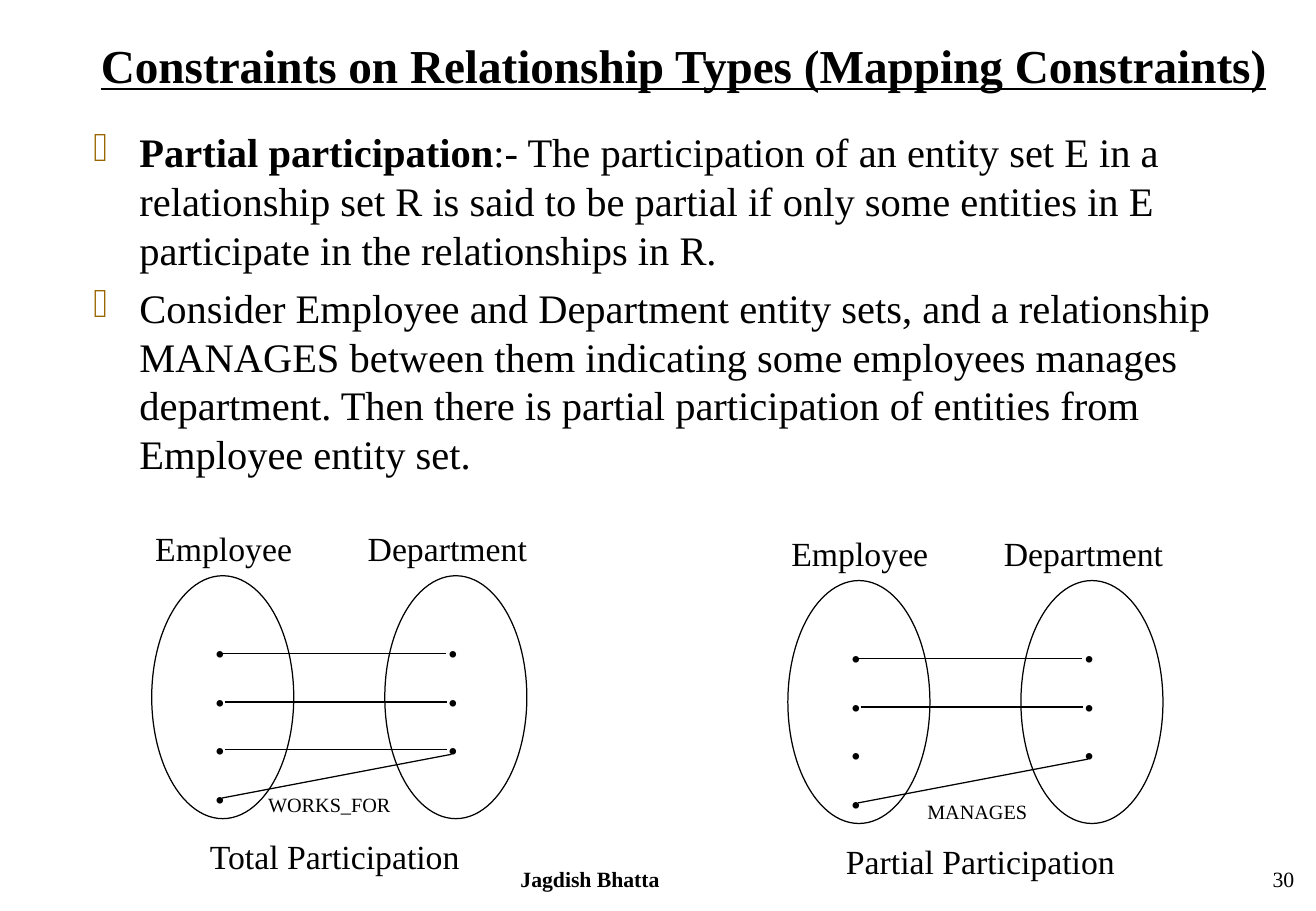
"""Build the slide that compares total and partial participation."""
from dataclasses import dataclass

from lxml.etree import SubElement
from pptx import Presentation
from pptx.dml.color import RGBColor
from pptx.enum.shapes import MSO_CONNECTOR as Connector, MSO_SHAPE as Shape
from pptx.enum.text import MSO_ANCHOR as Anchor, MSO_AUTO_SIZE as AutoSize, PP_ALIGN as Align
from pptx.oxml.ns import qn
from pptx.util import Emu, Pt

PX = 9144
FONT = "Times New Roman"
BLACK, WHITE, BROWN = "000000", "FFFFFF", "996600"
HANG = 38
DOT_INDENT = 25
SET_WIDTH, SET_HEIGHT, SET_TOP = 117, 200, 474
LABEL_HEIGHT = 44


@dataclass(frozen=True)
class Box:
    """A rectangle in px."""
    left: int
    top: int
    width: int
    height: int

    def emu(self) -> tuple[Emu, ...]:
        """Return the rectangle in EMU."""
        return tuple(px(value) for value in (self.left, self.top, self.width, self.height))


@dataclass(frozen=True)
class Label:
    """A line of text with its place and format."""
    text: str
    box: Box
    size: float
    bold: bool = False
    align: Align = Align.LEFT


@dataclass(frozen=True)
class EntitySet:
    """An ellipse with a heading and one dot per entity."""
    heading: str
    heading_left: int
    heading_width: int
    left: int
    dots: int


@dataclass(frozen=True)
class Link:
    """A line from an employee to a department."""
    start_x: int
    start_y: int
    end_x: int
    end_y: int


@dataclass(frozen=True)
class Diagram:
    """A participation diagram with its offset and links."""
    caption: str
    dx: int
    dy: int
    links: tuple[Link, ...]
    relationship: Label


ENTITY_SETS = (
    EntitySet("Employee", 118, 142, 125, 4),
    EntitySet("Department", 293, 158, 317, 3),
)
FIRST = Link(183, 538, 367, 538)
SECOND = Link(185, 578, 368, 578)
THIRD = Link(185, 617, 368, 617)
FOURTH = Link(183, 657, 372, 621)
DIAGRAMS = (
    Diagram("Total Participation", 0, 0, (FIRST, SECOND, THIRD, FOURTH),
            Label("WORKS_FOR", Box(211, 647, 133, 30), 12)),
    Diagram("Partial Participation", 524, 4, (FIRST, SECOND, FOURTH),
            Label("MANAGES", Box(754, 653, 133, 30), 12)),
)
FOOTERS = (
    Label("Jagdish Bhatta", Box(283, 708, 406, 33), 12.9, True, Align.CENTER),
    Label("30", Box(850, 708, 226, 33), 12.9, False, Align.RIGHT),
)
TITLE = Label("Constraints on Relationship Types (Mapping Constraints)",
              Box(67, 25, 992, 60), 28, True, Align.CENTER)
BODY_BOX = Box(67, 100, 992, 320)
BODY = (
    ("Partial participation",
     ":- The participation of an entity set E in a relationship set R is said to be partial "
     "if only some entities in E participate in the relationships in R."),
    ("",
     "Consider Employee and Department entity sets, and a relationship MANAGES between them "
     "indicating some employees manages department. Then there is partial participation of "
     "entities from Employee entity set."),
)


def px(value: int) -> Emu:
    """Turn px into EMU."""
    return Emu(value * PX)


def colour(value: str) -> RGBColor:
    """Turn a hex string into a colour."""
    return RGBColor.from_string(value)


def format_font(font, size: float, bold: bool = False) -> None:
    """Set the slide's typeface with the given size and weight."""
    font.name, font.size, font.bold = FONT, Pt(size), bold
    font.color.rgb = colour(BLACK)


def prepare_frame(frame) -> None:
    """Make a text frame wrap and start at its top."""
    frame.word_wrap = True
    frame.auto_size = AutoSize.NONE
    frame.vertical_anchor = Anchor.TOP


def fill_label(shape, label: Label) -> None:
    """Write a label into a shape."""
    frame = shape.text_frame
    prepare_frame(frame)
    frame.text = label.text
    paragraph = frame.paragraphs[0]
    paragraph.alignment = label.align
    format_font(paragraph.runs[0].font, label.size, label.bold)


def add_label(slide, label: Label) -> None:
    """Add a text box for a label."""
    fill_label(slide.shapes.add_textbox(*label.box.emu()), label)


def add_title(slide) -> None:
    """Place and format the title placeholder."""
    title = slide.shapes.title
    title.left, title.top, title.width, title.height = TITLE.box.emu()
    fill_label(title, TITLE)
    title.text_frame.paragraphs[0].runs[0].font.underline = True


def add_body(slide) -> None:
    """Add the bulleted explanation."""
    frame = slide.shapes.add_textbox(*BODY_BOX.emu()).text_frame
    prepare_frame(frame)
    for index, parts in enumerate(BODY):
        paragraph = frame.add_paragraph() if index else frame.paragraphs[0]
        properties = paragraph._p.get_or_add_pPr()
        properties.set("marL", str(px(HANG)))
        properties.set("indent", str(px(-HANG)))
        bullet_colour = SubElement(properties, qn("a:buClr"))
        SubElement(bullet_colour, qn("a:srgbClr"), val=BROWN)
        SubElement(properties, qn("a:buChar"), char="⬥")
        if index:
            paragraph.space_before = Pt(6)
        for text, bold in zip(parts, (True, False)):
            if text:
                run = paragraph.add_run()
                run.text = text
                format_font(run.font, 24, bold)


def add_entity_set(slide, entity_set: EntitySet, dx: int, dy: int) -> None:
    """Add an entity set with its dots and heading."""
    box = Box(entity_set.left + dx, SET_TOP + dy, SET_WIDTH, SET_HEIGHT)
    ellipse = slide.shapes.add_shape(Shape.OVAL, *box.emu())
    ellipse.shadow.inherit = False
    ellipse.fill.solid()
    ellipse.fill.fore_color.rgb = colour(WHITE)
    ellipse.line.color.rgb = colour(BLACK)
    ellipse.line.width = Pt(0.75)
    frame = ellipse.text_frame
    prepare_frame(frame)
    frame.text = "\n".join("." * entity_set.dots)
    for paragraph in frame.paragraphs:
        paragraph.alignment = Align.LEFT
        paragraph._p.get_or_add_pPr().set("marL", str(px(DOT_INDENT)))
        format_font(paragraph.runs[0].font, 24, True)
    heading_box = Box(entity_set.heading_left + dx, 430 + dy,
                      entity_set.heading_width, LABEL_HEIGHT)
    add_label(slide, Label(entity_set.heading, heading_box, 20))


def add_link(slide, link: Link, dx: int, dy: int) -> None:
    """Add a line between two entities."""
    line = slide.shapes.add_connector(
        Connector.STRAIGHT, px(link.start_x + dx), px(link.start_y + dy),
        px(link.end_x + dx), px(link.end_y + dy))
    line.line.color.rgb = colour(BLACK)
    line.line.width = Pt(0.75)
    SubElement(line._element.spPr, qn("a:effectLst"))


def add_diagram(slide, diagram: Diagram) -> None:
    """Add a whole participation diagram."""
    dx, dy = diagram.dx, diagram.dy
    for entity_set in ENTITY_SETS:
        add_entity_set(slide, entity_set, dx, dy)
    for link in diagram.links:
        add_link(slide, link, dx, dy)
    add_label(slide, Label(diagram.caption, Box(163 + dx, 683 + dy, 242, LABEL_HEIGHT), 20))
    add_label(slide, diagram.relationship)


def main() -> None:
    """Build and save the presentation."""
    presentation = Presentation()
    presentation.slide_width, presentation.slide_height = px(1084), px(750)
    slide = presentation.slides.add_slide(presentation.slide_layouts[5])
    add_title(slide)
    add_body(slide)
    for diagram in DIAGRAMS:
        add_diagram(slide, diagram)
    for footer in FOOTERS:
        add_label(slide, footer)
    presentation.save("out.pptx")


if __name__ == "__main__":
    main()
